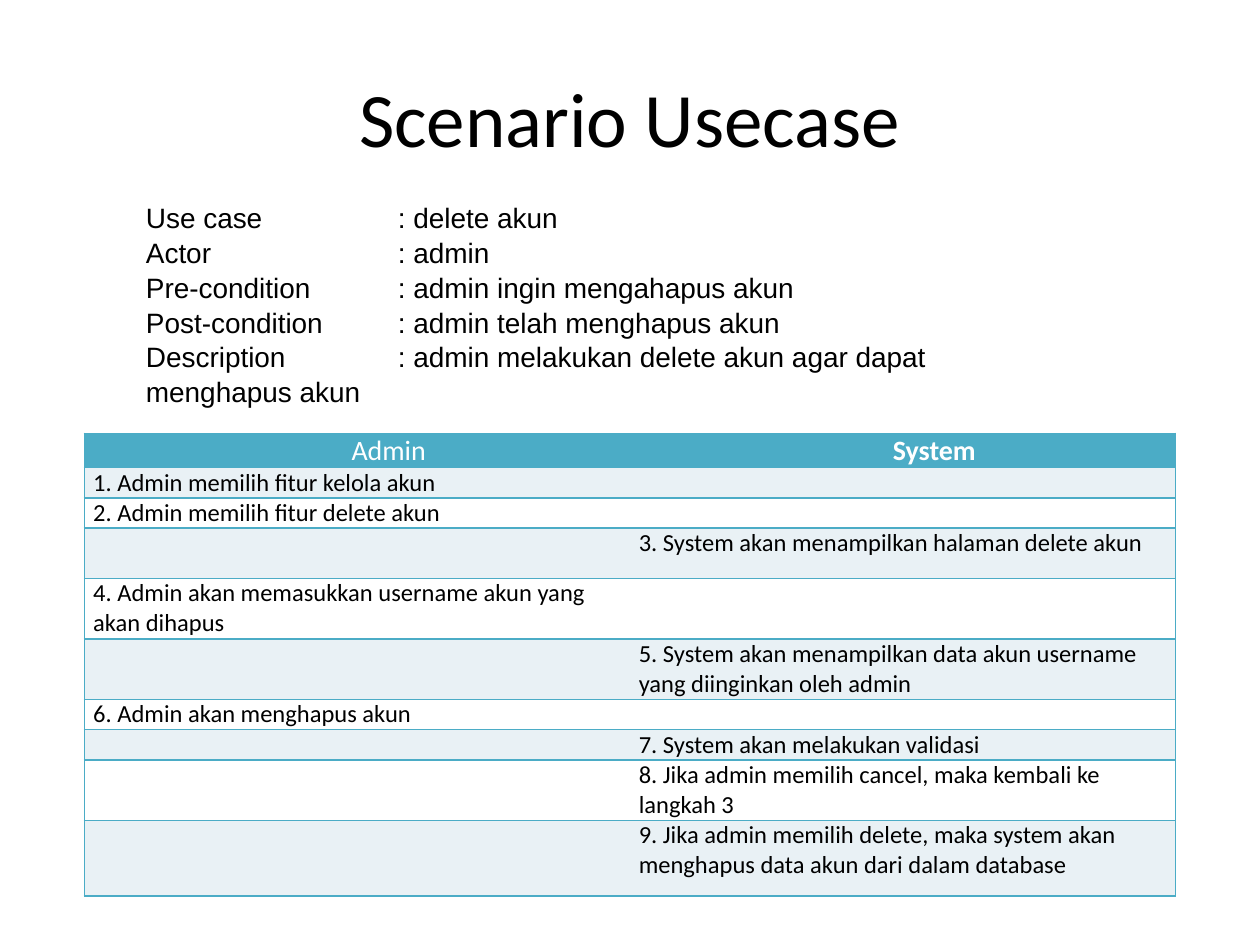
import pptx
import pptx.util
import pptx.dml.color
import pptx.enum.text
import pptx.oxml.ns
import lxml.etree

Inches = pptx.util.Inches
Pt = pptx.util.Pt
qn = pptx.oxml.ns.qn
ALIGN = pptx.enum.text.PP_ALIGN
ANCHOR = pptx.enum.text.MSO_ANCHOR

COLOURS = {"text": "000000", "white": "FFFFFF", "accent": "4BACC6", "band": "E9F1F5"}
PLAIN_TABLE = "{2D5ABB26-0587-4C30-8999-92F81FD0307C}"

DETAILS = [
    ("Use case", "delete akun"),
    ("Actor", "admin"),
    ("Pre-condition", "admin ingin mengahapus akun"),
    ("Post-condition", "admin telah menghapus akun"),
    ("Description", "admin melakukan delete akun agar dapat menghapus akun"),
]
ADMIN, SYSTEM = 0, 1
STEPS = [
    (ADMIN, "1. Admin memilih fitur kelola akun", 0.24),
    (ADMIN, "2. Admin memilih fitur delete akun", 0.24),
    (SYSTEM, "3. System akan menampilkan halaman delete akun", 0.4),
    (ADMIN, "4. Admin akan memasukkan username akun yang akan dihapus", 0.48),
    (SYSTEM, "5. System akan menampilkan data akun username yang diinginkan oleh admin", 0.48),
    (ADMIN, "6. Admin akan menghapus akun", 0.24),
    (SYSTEM, "7. System akan melakukan validasi", 0.24),
    (SYSTEM, "8. Jika admin memilih cancel, maka kembali ke langkah 3", 0.48),
    (SYSTEM, "9. Jika admin memilih delete, maka system akan menghapus data akun dari dalam database", 0.6),
]


def rgb(name):
    return pptx.dml.color.RGBColor.from_string(COLOURS[name])


def apply(target, values):
    for name, value in values.items():
        setattr(target, name, value)


class ScenarioSlide:
    def __init__(self, deck):
        self.page = deck.slides.add_slide(deck.slide_layouts[5])

    def add_span(self, para, text, size, font="Calibri", colour="text", bold=False):
        span = para.add_run()
        span.text = text
        apply(span.font, {"name": font, "size": Pt(size), "bold": bold})
        span.font.color.rgb = rgb(colour)

    def add_title(self, text, left, top, width, height):
        box = self.page.shapes.title
        apply(box, {"left": Inches(left), "top": Inches(top),
                    "width": Inches(width), "height": Inches(height)})
        box.text_frame.vertical_anchor = ANCHOR.MIDDLE
        para = box.text_frame.paragraphs[0]
        para.alignment = ALIGN.CENTER
        self.add_span(para, text, 44)

    def add_details(self, pairs, left, top, width, height, tab):
        box = self.page.shapes.add_textbox(
            Inches(left), Inches(top), Inches(width), Inches(height))
        frame = box.text_frame
        apply(frame, {"word_wrap": True, "vertical_anchor": ANCHOR.MIDDLE})
        for index, (label, value) in enumerate(pairs):
            para = frame.add_paragraph() if index else frame.paragraphs[0]
            para.line_spacing = 1.04
            stops = lxml.etree.SubElement(para._p.get_or_add_pPr(), qn("a:tabLst"))
            lxml.etree.SubElement(stops, qn("a:tab"), pos=str(Inches(tab)), algn="l")
            self.add_span(para, f"{label}\t: {value}", 16, "Arial")

    def add_border(self, cell, sides):
        properties = cell._tc.get_or_add_tcPr()
        for side in sides:
            line = lxml.etree.SubElement(properties, qn(f"a:ln{side}"), w=str(Pt(1)))
            fill = lxml.etree.SubElement(line, qn("a:solidFill"))
            lxml.etree.SubElement(fill, qn("a:srgbClr"), val=COLOURS["accent"])

    def format_cell(self, cell, column, fill):
        apply(cell, {"margin_left": Inches(0.07), "margin_right": Inches(0.07),
                     "margin_top": 0, "margin_bottom": 0})
        self.add_border(cell, "LTB" if column == ADMIN else "RTB")
        cell.fill.solid()
        cell.fill.fore_color.rgb = rgb(fill)
        return cell.text_frame.paragraphs[0]

    def add_steps(self, steps, left, top, widths, header_height):
        heights = [header_height] + [height for _, _, height in steps]
        frame = self.page.shapes.add_table(
            len(heights), len(widths), Inches(left), Inches(top),
            Inches(sum(widths)), Inches(sum(heights)))
        table = frame.table
        apply(table, {"first_row": False, "horz_banding": False})
        table._tbl.tblPr.find(qn("a:tableStyleId")).text = PLAIN_TABLE
        for column, width in zip(table.columns, widths):
            column.width = Inches(width)
        for row, height in zip(table.rows, heights):
            row.height = Inches(height)

        for column, heading in enumerate(("Admin", "System")):
            para = self.format_cell(table.cell(0, column), column, "accent")
            para.alignment = ALIGN.CENTER
            para._p.get_or_add_pPr().set("marL", str(Inches(0.5)))
            self.add_span(para, heading, 16, colour="white", bold=column == SYSTEM)

        for row, (actor, text, _) in enumerate(steps, 1):
            for column in (ADMIN, SYSTEM):
                para = self.format_cell(table.cell(row, column), column,
                                        "band" if row % 2 else "white")
                if column == actor:
                    self.add_span(para, text, 14)
                else:
                    lxml.etree.SubElement(para._p, qn("a:endParaRPr"), sz="1400")


def main():
    deck = pptx.Presentation()
    apply(deck, {"slide_width": Inches(10), "slide_height": Inches(7.5)})
    slide = ScenarioSlide(deck)
    slide.add_title("Scenario Usecase", 0.5, 0.3, 9, 1.25)
    slide.add_steps(STEPS, 0.67, 3.44, (4.33, 4.33), 0.27)
    slide.add_details(DETAILS, 1.06, 1.55, 7.48, 1.72, 2)
    deck.save("out.pptx")


if __name__ == "__main__":
    main()
